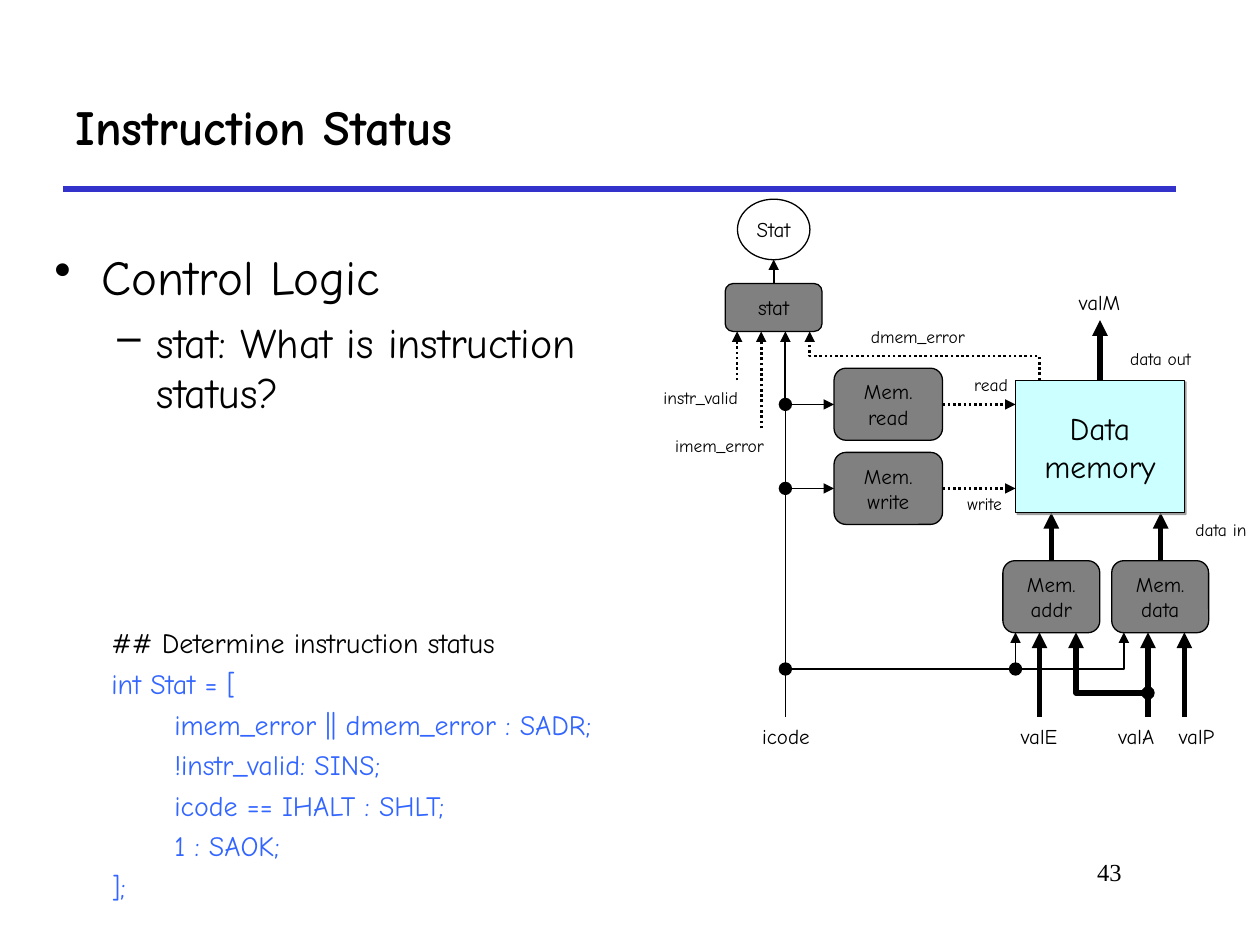
"""Build the Instruction Status slide with its memory stage diagram."""
from lxml.etree import SubElement
from pptx import Presentation
from pptx.dml.color import RGBColor
from pptx.enum.dml import MSO_LINE
from pptx.enum.shapes import MSO_CONNECTOR, MSO_SHAPE
from pptx.enum.text import MSO_ANCHOR, PP_ALIGN
from pptx.oxml.ns import qn
from pptx.util import Pt

BLACK = RGBColor(0, 0, 0)
WHITE = RGBColor(255, 255, 255)
GRAY = RGBColor(0x80, 0x80, 0x80)
CYAN = RGBColor(0xCC, 0xFF, 0xFF)
RULE_BLUE = RGBColor(0x33, 0x33, 0xCC)
CODE_BLUE = RGBColor(0x33, 0x66, 0xFF)
FONT = "Comic Neue"

TITLE = "Instruction Status"
BULLETS = [
    ("Control Logic", dict(size=28), "•", 27, 27, 0),
    ("stat: What is instruction status?", dict(size=24), "–", 58.5, 22.5, 6),
]
CODE = [
    ("## Determine instruction status", BLACK),
    ("int Stat = [", CODE_BLUE),
    ("\timem_error || dmem_error : SADR;", CODE_BLUE),
    ("\t!instr_valid: SINS;", CODE_BLUE),
    ("\ticode == IHALT : SHLT;", CODE_BLUE),
    ("\t1 : SAOK;", CODE_BLUE),
    ("];", CODE_BLUE),
]

ICODE_X, STAT_X, ADDR_X, DATA_X = 448.8, 442.1, 600.8, 663.3
READ_Y, WRITE_Y, FEED_Y, FORK_Y, INPUT_Y = 231.1, 279.1, 382.3, 396, 409.7
STAT_BOTTOM, UNIT_TOP, UNIT_BOTTOM = 189.4, 320.4, 361.4
MEMORY_LEFT, MEMORY_TOP, MEMORY_BOTTOM = 580.3, 217.4, 293
READ_RIGHT, READ_LEFT = 538.6, 476.6
VALE_X, VALA_X, VALP_X, VALM_X = 594, 656, 676.8, 628.6
ERROR_X, ERROR_Y, FORK_X = 462.7, 203.5, 614.9
DOT_SIZE = 6.9

THICK = dict(width=3)
THIN = dict(width=1)
DOTTED = dict(width=1.5, dash=MSO_LINE.ROUND_DOT)
WIRES = [
    (THICK, [(VALE_X, INPUT_Y), (VALE_X, UNIT_BOTTOM)]),
    (THICK, [(VALA_X, INPUT_Y), (VALA_X, UNIT_BOTTOM)]),
    (THICK, [(VALP_X, INPUT_Y), (VALP_X, UNIT_BOTTOM)]),
    (THICK, [(VALA_X, FORK_Y), (FORK_X, FORK_Y), (FORK_X, UNIT_BOTTOM)]),
    (THICK, [(ADDR_X, UNIT_TOP), (ADDR_X, MEMORY_BOTTOM)]),
    (THICK, [(DATA_X, UNIT_TOP), (DATA_X, MEMORY_BOTTOM)]),
    (THICK, [(VALM_X, MEMORY_TOP), (VALM_X, 182.9)]),
    (THIN, [(ICODE_X, FEED_Y), (642.2, FEED_Y), (642.2, UNIT_BOTTOM)]),
    (THIN, [(MEMORY_LEFT, FEED_Y), (MEMORY_LEFT, UNIT_BOTTOM)]),
    (THIN, [(ICODE_X, INPUT_Y), (ICODE_X, READ_Y), (READ_LEFT, READ_Y)]),
    (THIN, [(ICODE_X, WRITE_Y), (READ_LEFT, WRITE_Y)]),
    (THIN, [(ICODE_X, READ_Y), (ICODE_X, STAT_BOTTOM)]),
    (THIN, [(STAT_X, 162), (STAT_X, 148.3)]),
    (DOTTED, [(READ_RIGHT, READ_Y), (MEMORY_LEFT, READ_Y)]),
    (DOTTED, [(READ_RIGHT, WRITE_Y), (MEMORY_LEFT, WRITE_Y)]),
    (DOTTED, [(421.2, 217.4), (421.2, STAT_BOTTOM)]),
    (DOTTED, [(435, 244.8), (435, STAT_BOTTOM)]),
    (DOTTED, [(VALE_X, MEMORY_TOP), (VALE_X, ERROR_Y), (ERROR_X, ERROR_Y),
              (ERROR_X, STAT_BOTTOM)]),
]
DOTS = [(ICODE_X, READ_Y), (ICODE_X, WRITE_Y), (ICODE_X, FEED_Y),
        (MEMORY_LEFT, FEED_Y), (VALA_X, FORK_Y)]

ROUND, OVAL = MSO_SHAPE.ROUNDED_RECTANGLE, MSO_SHAPE.OVAL
UNITS = [
    (["Mem.", "read"], ROUND, GRAY, 12, (READ_LEFT, 210.4, 62, 41.2)),
    (["Mem.", "write"], ROUND, GRAY, 12, (READ_LEFT, 258.5, 62, 41.2)),
    (["Mem.", "addr"], ROUND, GRAY, 12, (573.1, UNIT_TOP, 55.4, 41.2)),
    (["Mem.", "data"], ROUND, GRAY, 12, (635.3, UNIT_TOP, 55.4, 41.2)),
    (["stat"], ROUND, GRAY, 12, (414.4, 162, 55.4, 27.4)),
    (["Stat"], OVAL, WHITE, 12, (421.4, 113.8, 41.4, 34.6)),
]
MEMORY = (["Data", "memory"], MSO_SHAPE.RECTANGLE, CYAN, 18,
          (MEMORY_LEFT, MEMORY_TOP, 96.5, 75.6))
SIGNALS = [("icode", 428.4, 403.2), ("valE", 573.1, 403.2), ("valA", 628.6, 403.2),
           ("valP", 663.1, 403.2), ("valM", 607.7, 155.5)]
LABELS = [
    ("read", 538.6, 210.4, 55.4), ("write", 538.6, 277.9, 48.2),
    ("data out", 628.6, 195.1, 69.1), ("data in", 663.1, 293, 69.1),
    ("dmem_error", 469.4, 182.9, 110.2), ("instr_valid", 365.8, 217.4, 69.1),
    ("imem_error", 373, 244.8, 76.3),
]


def write(para, text, size, color=BLACK, name=FONT, bold=False):
    span = para.add_run()
    span.text = text
    span.font.color.rgb = color
    for key, value in dict(size=Pt(size), name=name, bold=bold).items():
        setattr(span.font, key, value)


def next_para(frame, index):
    return frame.add_paragraph() if index else frame.paragraphs[0]


def add_text(page, left, top, width, height, anchor=MSO_ANCHOR.TOP):
    frame = page.shapes.add_textbox(Pt(left), Pt(top), Pt(width), Pt(height)).text_frame
    frame.word_wrap = True
    frame.vertical_anchor = anchor
    return frame


def add_line(page, points, width, color=BLACK, dash=None, arrow=True):
    start, *rest = [(Pt(x), Pt(y)) for x, y in points]
    if len(rest) == 1:
        line = page.shapes.add_connector(MSO_CONNECTOR.STRAIGHT, *start, *rest[0])
        SubElement(line._element.spPr, qn("a:effectLst"))
    else:
        builder = page.shapes.build_freeform(*start)
        builder.add_line_segments(rest, close=False)
        line = builder.convert_to_shape()
        line.shadow.inherit = False
        line.fill.background()
    line.line.color.rgb = color
    line.line.width = Pt(width)
    if dash:
        line.line.dash_style = dash
    if arrow:
        SubElement(line.line._get_or_add_ln(), qn("a:tailEnd"), type="triangle")


def add_node(page, lines, kind, fill, size, place):
    node = page.shapes.add_shape(kind, *map(Pt, place))
    node.shadow.inherit = False
    if fill is None:
        node.fill.background()
        node.line.fill.background()
    else:
        node.fill.solid()
        node.fill.fore_color.rgb = fill
        node.line.color.rgb = BLACK
        node.line.width = Pt(0.75)
    frame = node.text_frame
    frame.word_wrap = False
    frame.vertical_anchor = MSO_ANCHOR.MIDDLE
    for index, text in enumerate(lines):
        para = next_para(frame, index)
        para.alignment = PP_ALIGN.CENTER
        write(para, text, size)
    return node


def add_shadow(node):
    effects = node._element.spPr.find(qn("a:effectLst"))
    shadow = SubElement(effects, qn("a:outerShdw"), dist=str(Pt(1.4)), dir="2700000",
                        algn="ctr", rotWithShape="0")
    color = SubElement(shadow, qn("a:srgbClr"), val=str(GRAY))
    SubElement(color, qn("a:alpha"), val="75000")


def add_diagram(page):
    for style, points in WIRES:
        add_line(page, points, **style)
    for x, y in DOTS:
        corner = (x - DOT_SIZE / 2, y - DOT_SIZE / 2)
        add_node(page, [], OVAL, BLACK, 12, (*corner, DOT_SIZE, DOT_SIZE))
    for unit in UNITS:
        add_node(page, *unit)
    add_shadow(add_node(page, *MEMORY))
    for text, left, top in SIGNALS:
        add_node(page, [text], OVAL, None, 12, (left, top, 41.4, 34.6))
    for text, left, top, width in LABELS:
        para = add_text(page, left, top, width, 19.4).paragraphs[0]
        para.alignment = PP_ALIGN.CENTER
        write(para, text, 10)


def add_bullets(page):
    frame = add_text(page, 24, 137.5, 337.5, 198.7)
    for index, (text, style, mark, margin, hanging, before) in enumerate(BULLETS):
        para = next_para(frame, index)
        para.level = index
        para.space_before = Pt(before)
        properties = para._p.get_or_add_pPr()
        properties.set("marL", str(Pt(margin)))
        properties.set("indent", str(-Pt(hanging)))
        SubElement(properties, qn("a:buChar"), char=mark)
        write(para, text, **style)


def add_code(page):
    frame = add_text(page, 60, 354.2, 630.7, 165.6)
    frame.margin_left = frame.margin_right = Pt(3.6)
    for index, (text, color) in enumerate(CODE):
        para = next_para(frame, index)
        para.space_before = Pt(4 if index else 0)
        write(para, text, 16, color)


def main():
    deck = Presentation()
    deck.slide_width, deck.slide_height = Pt(720), Pt(540)
    page = deck.slides.add_slide(deck.slide_layouts[6])
    add_line(page, [(36, 108), (672, 108)], 3, RULE_BLUE, arrow=False)
    title = add_text(page, 36, 36, 636, 72, MSO_ANCHOR.MIDDLE)
    write(title.paragraphs[0], TITLE, 28, bold=True)
    add_bullets(page)
    add_diagram(page)
    add_code(page)
    number = add_text(page, 546, 486, 102, 36).paragraphs[0]
    number.alignment = PP_ALIGN.RIGHT
    write(number, "43", 14, name="Times New Roman")
    deck.save("out.pptx")


if __name__ == "__main__":
    main()
